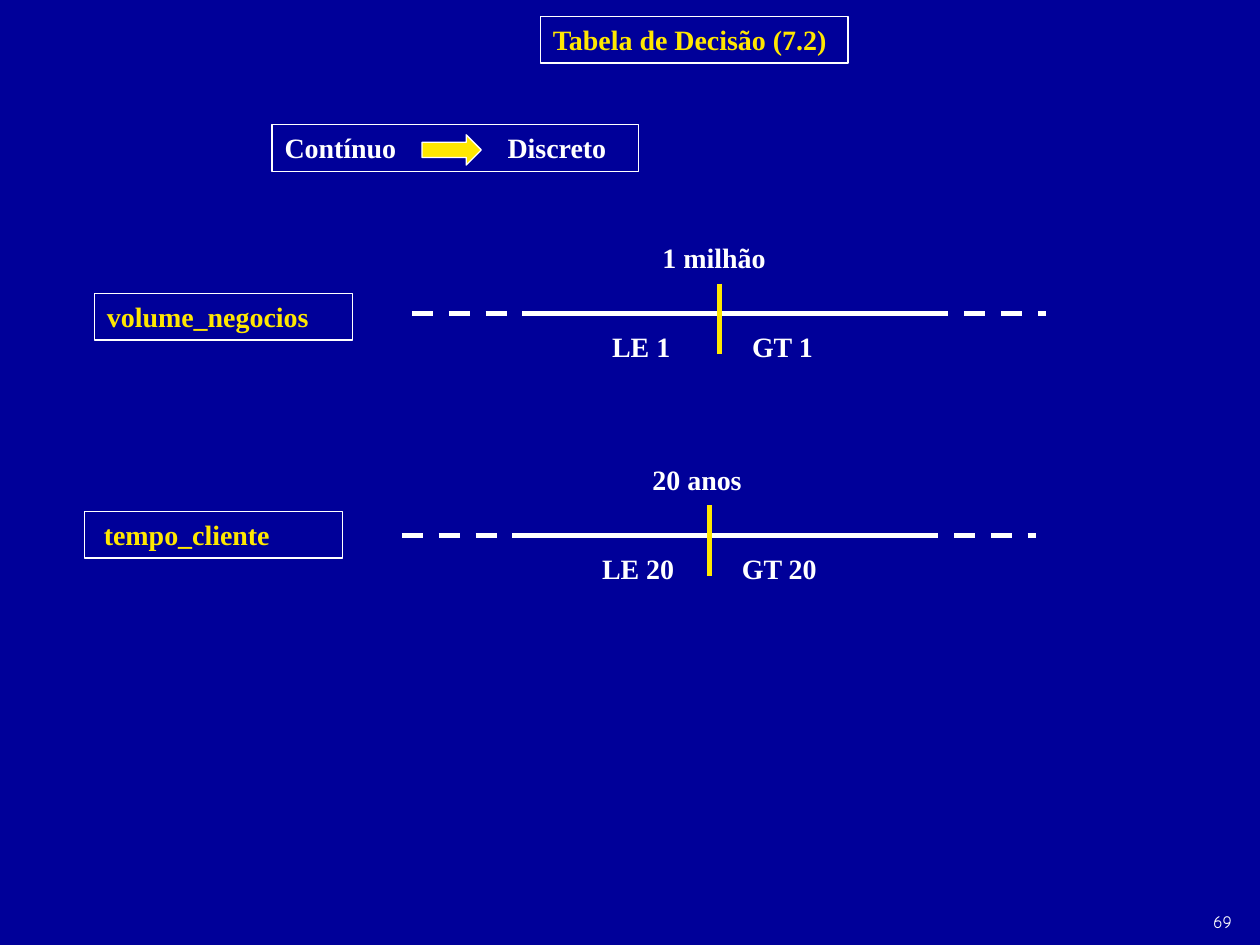
from lxml.etree import SubElement
from pptx import Presentation
from pptx.dml.color import RGBColor
from pptx.enum.dml import MSO_LINE
from pptx.enum.shapes import MSO_CONNECTOR, MSO_SHAPE
from pptx.oxml.ns import qn
from pptx.util import Inches, Pt

THEME = {
    "background": RGBColor(0x00, 0x00, 0x99),
    "white": RGBColor(0xFF, 0xFF, 0xFF),
    "yellow": RGBColor(0xFF, 0xE7, 0x01),
    "body": {"name": "Times New Roman", "size": Pt(16), "bold": True},
    "number": {"name": "Comic Neue", "size": Pt(10), "bold": False},
    "border": Pt(0.75),
    "axis": Pt(3),
}
WIDTH, HEIGHT = 10, 7.5
ROW = 0.37  # height of one line of body text with its margins

# text, left, top, width, colour
BOXES = [
    ("Tabela de Decisão (7.2)", 4.29, 0.13, 2.44, "yellow"),
    ("Contínuo\tDiscreto", 2.16, 0.99, 2.91, "white"),
    ("volume_negocios", 0.75, 2.33, 2.05, "yellow"),
    (" tempo_cliente", 0.67, 4.06, 2.05, "yellow"),
]
DISCRETE_TAB = 1.77
ARROW = (3.35, 1.07, 0.47, 0.24)

# left end, axis height, threshold, lower class, upper class, class width
SCALES = [
    (3.27, 2.49, "1 milhão", "LE 1", "GT 1", 0.71),
    (3.19, 4.25, "20 anos", "LE 20", "GT 20", 0.87),
]
DASHED, SOLID, CUT = 0.94, 3.15, 2.44  # tail length, middle length, offset of the cut
PAGE = ("69", 9.53, 7.18, 0.47, 0.27)


def inches(*values):
    return [Inches(v) for v in values]


def write(s, text, color, font="body"):
    tf = s.text_frame
    tf.word_wrap = True
    margins = {"margin_left": 0.1, "margin_right": 0.1, "margin_top": 0.05, "margin_bottom": 0.05}
    for name, value in margins.items():
        setattr(tf, name, Inches(value))
    r = tf.paragraphs[0].add_run()
    r.text = text
    for name, value in THEME[font].items():
        setattr(r.font, name, value)
    r.font.color.rgb = THEME[color]
    return s


def add_label(shapes, text, left, top, width, height=ROW, color="white", font="body"):
    return write(shapes.add_textbox(*inches(left, top, width, height)), text, color, font)


def add_box(shapes, text, left, top, width, color):
    s = add_label(shapes, text, left, top, width, color=color)
    s.line.color.rgb = THEME["white"]
    s.line.width = THEME["border"]
    return s


def add_tab(s, position):
    """Give the first paragraph of a shape one left tab stop."""
    p_pr = s.text_frame.paragraphs[0]._p.get_or_add_pPr()
    tabs = SubElement(p_pr, qn("a:tabLst"))
    SubElement(tabs, qn("a:tab"), pos=str(Inches(position)), algn="l")


def add_line(shapes, x1, y1, x2, y2, color="white", dash=None):
    c = shapes.add_connector(MSO_CONNECTOR.STRAIGHT, *inches(x1, y1, x2, y2))
    c.line.color.rgb = THEME[color]
    c.line.width = THEME["axis"]
    if dash:
        c.line.dash_style = dash
    SubElement(c._element.spPr, qn("a:effectLst"))


def add_scale(shapes, left, y, threshold, lower, upper, class_width):
    """Draw an axis with dashed tails, cut in two classes at a threshold."""
    start, cut = left + DASHED, left + CUT
    end = start + SOLID
    add_line(shapes, start, y, end, y)
    add_line(shapes, cut, y - 0.24, cut, y + 0.32, "yellow")
    add_label(shapes, threshold, cut - 0.55, y - 0.63, 1.1)
    add_label(shapes, lower, cut - 0.95, y + 0.08, class_width)
    add_label(shapes, upper, cut + 0.16, y + 0.08, class_width)
    for tail in (end, left):
        add_line(shapes, tail, y, tail + DASHED, y, dash=MSO_LINE.DASH)


def main():
    prs = Presentation()
    prs.slide_width, prs.slide_height = inches(WIDTH, HEIGHT)
    slide = prs.slides.add_slide(prs.slide_layouts[6])
    slide.background.fill.solid()
    slide.background.fill.fore_color.rgb = THEME["background"]

    for box in BOXES:
        s = add_box(slide.shapes, *box)
        if "\t" in box[0]:
            add_tab(s, DISCRETE_TAB)

    arrow = slide.shapes.add_shape(MSO_SHAPE.RIGHT_ARROW, *inches(*ARROW))
    arrow.shadow.inherit = False
    arrow.fill.solid()
    arrow.fill.fore_color.rgb = THEME["yellow"]
    arrow.line.color.rgb = THEME["white"]
    arrow.line.width = THEME["border"]

    for scale in SCALES:
        add_scale(slide.shapes.add_group_shape().shapes, *scale)

    add_label(slide.shapes, *PAGE, font="number")
    prs.save("out.pptx")


if __name__ == "__main__":
    main()
